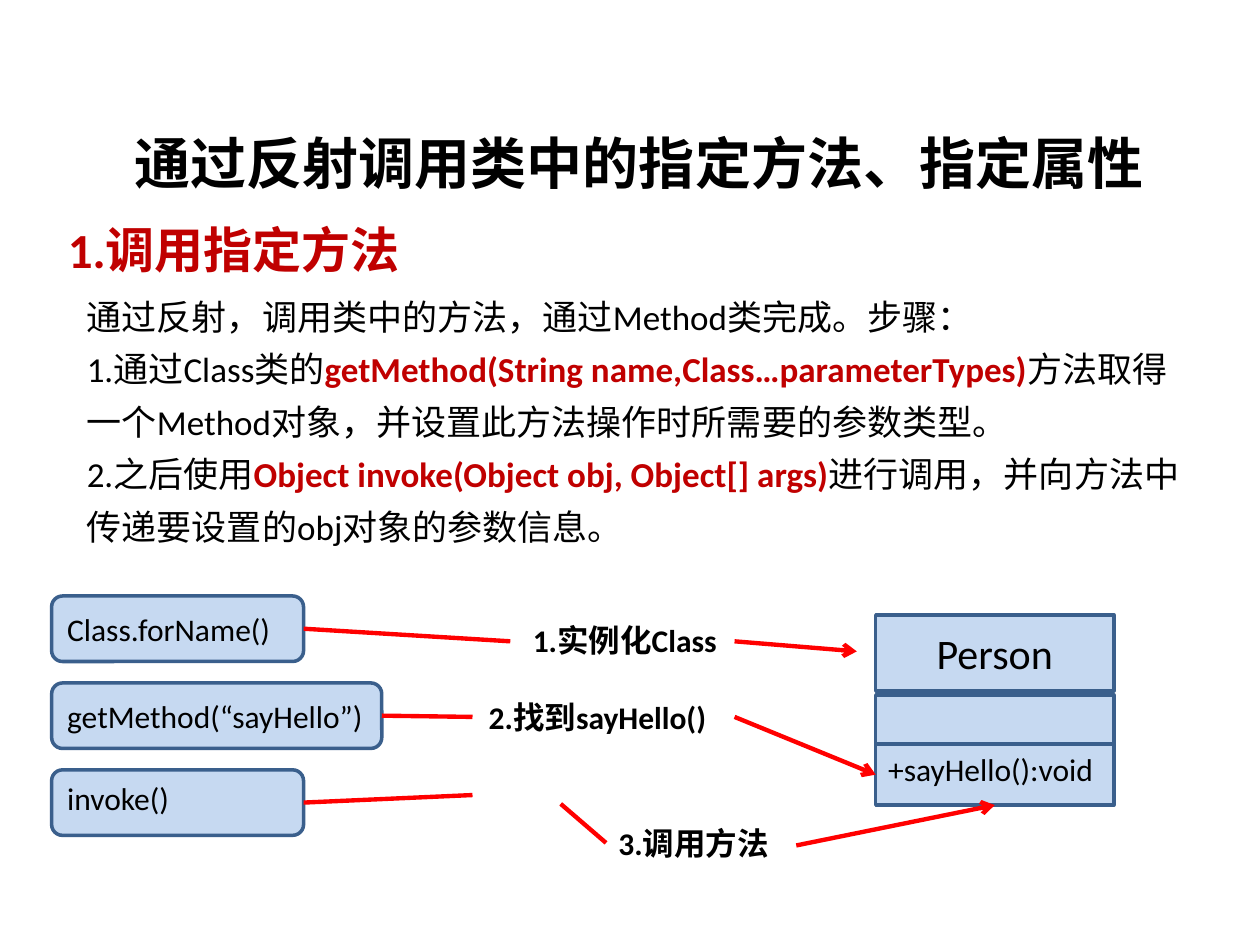
from pptx import Presentation
from pptx.dml.color import RGBColor
from pptx.enum.shapes import MSO_CONNECTOR as Link, MSO_SHAPE as Form
from pptx.enum.text import MSO_ANCHOR as Anchor, PP_ALIGN as Align
from pptx.oxml.ns import qn
from pptx.util import Inches, Pt
from lxml.etree import SubElement as Sub

BLACK = RGBColor(0x00, 0x00, 0x00)
CRIMSON = RGBColor(0xC0, 0x00, 0x00)
RED = RGBColor(0xFF, 0x00, 0x00)
PALE = RGBColor(0xC6, 0xD9, 0xF1)
BLUE = RGBColor(0x3A, 0x5F, 0x8C)
FONT = "Calibri"
COLS, ROWS = 100, 75
LEFT, RIGHT, BASE = 1, 3, 2  # connection sites of a box

deck = Presentation()
deck.slide_width, deck.slide_height = Inches(10), Inches(7.5)
slide = deck.slides.add_slide(deck.slide_layouts[5])
shapes = slide.shapes


def grid(col, row):
    """Turn a column and a row of the grid into slide lengths."""
    return int(deck.slide_width * col / COLS), int(deck.slide_height * row / ROWS)


def write(shape, *paras, size=18, color=BLACK, bold=False, align=Align.LEFT,
          anchor=Anchor.TOP, wrap=True, space=None):
    """Fill a shape with paragraphs; a run in a tuple is a bold keyword."""
    frame = shape.text_frame
    frame.word_wrap, frame.vertical_anchor = wrap, anchor
    for i, runs in enumerate(paras):
        para = frame.add_paragraph() if i else frame.paragraphs[0]
        para.alignment, para.line_spacing = align, space
        for part in [runs] if isinstance(runs, str) else runs:
            key = isinstance(part, tuple)
            run = para.add_run()
            run.text = part[0] if key else part
            font = run.font
            font.name, font.size, font.bold = FONT, Pt(size), key or bold
            font.color.rgb = CRIMSON if key else color


def note(x, y, w, h, *paras, **style):
    """Add a text box."""
    write(shapes.add_textbox(*grid(x, y), *grid(w, h)), *paras, **style)


def block(form, x, y, w, h, text="", **style):
    """Add a pale blue box with its text."""
    box = shapes.add_shape(form, *grid(x, y), *grid(w, h))
    box.shadow.inherit = False
    box.fill.solid()
    box.fill.fore_color.rgb = PALE
    box.line.color.rgb, box.line.width = BLUE, Pt(2)
    if text:
        write(box, text, wrap=False, **style)
    return box


def join(start, end, arrow=False):
    """Draw a red line; each end is a point or a (shape, site) pair."""
    free = [p if isinstance(p[0], (int, float)) else (0, 0) for p in (start, end)]
    line = shapes.add_connector(Link.STRAIGHT, *grid(*free[0]), *grid(*free[1]))
    for p, glue in ((start, line.begin_connect), (end, line.end_connect)):
        if not isinstance(p[0], (int, float)):
            glue(*p)
    line.line.color.rgb, line.line.width = RED, Pt(2.5)
    if arrow:
        Sub(line.line._get_or_add_ln(), qn("a:tailEnd"), type="arrow")
    Sub(line._element.spPr, qn("a:effectLst"))


def head(x, y, w, h):
    """Place the slide title."""
    title = shapes.title
    title.left, title.top = grid(x, y)
    title.width, title.height = grid(w, h)
    write(title, "通过反射调用类中的指定方法、指定属性", size=32, bold=True,
          align=Align.CENTER, anchor=Anchor.MIDDLE)


def body(x, y, w, h):
    """Place the section heading and the steps below it."""
    note(x, y, 0.82 * w, 5.7, "1.调用指定方法", size=28, color=CRIMSON, bold=True)
    note(x + 1.5, y + 5.2, w - 1.5, h - 5.2,
         "通过反射，调用类中的方法，通过Method类完成。步骤：",
         ["1.通过Class类的", ("getMethod(String name,Class…parameterTypes)",),
          "方法取得一个Method对象，并设置此方法操作时所需要的参数类型。"],
         ["2.之后使用", ("Object invoke(Object obj, Object[] args)",),
          "进行调用，并向方法中传递要设置的obj对象的参数信息。"],
         size=20, space=Pt(30))


def calls(x, y, w, h):
    """Stack the three call boxes and return them."""
    rows = (("Class.forName()", 20, Anchor.MIDDLE),
            ("getMethod(“sayHello”)", w, Anchor.MIDDLE),
            ("invoke()", 20, Anchor.TOP))
    tall = 5.2
    step = (h - tall) / (len(rows) - 1)
    return [block(Form.ROUNDED_RECTANGLE, x, y + i * step, wide, tall, text, anchor=anchor)
            for i, (text, wide, anchor) in enumerate(rows)]


def person(x, y, w, h):
    """Draw the class diagram and return its method cell."""
    rows = ((0, 0.4, "Person", dict(size=24, align=Align.CENTER, anchor=Anchor.MIDDLE)),
            (0.42, 0.26, "", {}),
            (0.68, 0.32, "+sayHello():void", {}))
    return [block(Form.RECTANGLE, x, y + top * h, w, tall * h, text, **style)
            for top, tall, text, style in rows][-1]


def flow(x, y, w, h):
    """Link the calls to the class through the three labelled steps."""
    first, second, third = calls(x, y, 26.2, 19)
    method = person(x + w - 18.9, y + 1.5, 18.9, 15.1)
    for dx, dy, wide, text in ((37.2, 1.5, 20.5, "1.实例化Class"),
                               (33.7, 7.6, 20.5, "2.找到sayHello()"),
                               (44, 17.6, 16.8, "3.调用方法")):
        note(x + dx, y + dy, wide, 4, text, bold=True)
    join((first, RIGHT), (x + 36.4, y + 3.6))
    join((second, RIGHT), (x + 33.4, y + 9.6))
    join((third, RIGHT), (x + 33.4, y + 15.8))
    join((x + 40.4, y + 16.5), (x + 44, y + 19.6))
    join((x + 54.2, y + 3.6), (x + 63.9, y + 4.4), arrow=True)
    join((x + 54.2, y + 9.6), (method, LEFT), arrow=True)
    join((x + 59.1, y + 19.8), (method, BASE), arrow=True)


head(5.1, 9.7, 91.3, 6.4)
body(4.4, 16.9, 91.3, 27.2)
flow(4.1, 47.3, 84.3, 21.6)
deck.save("out.pptx")
